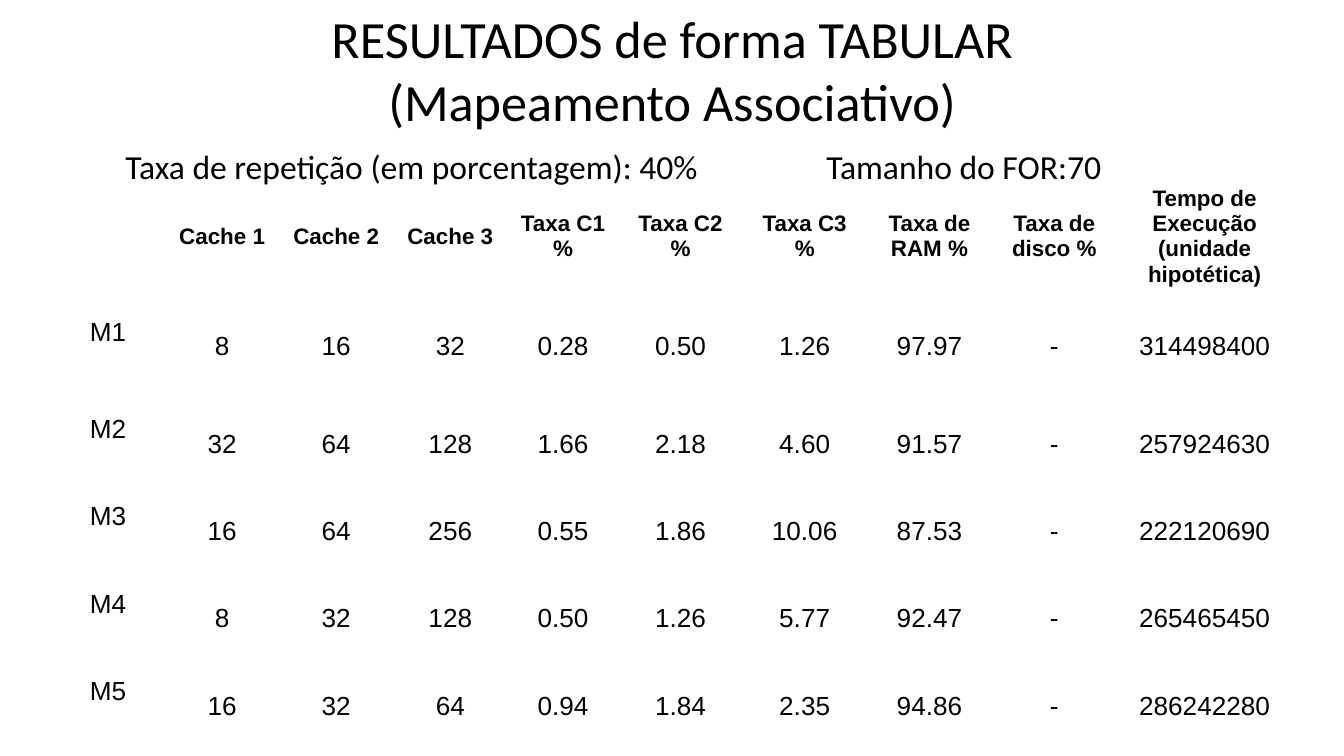
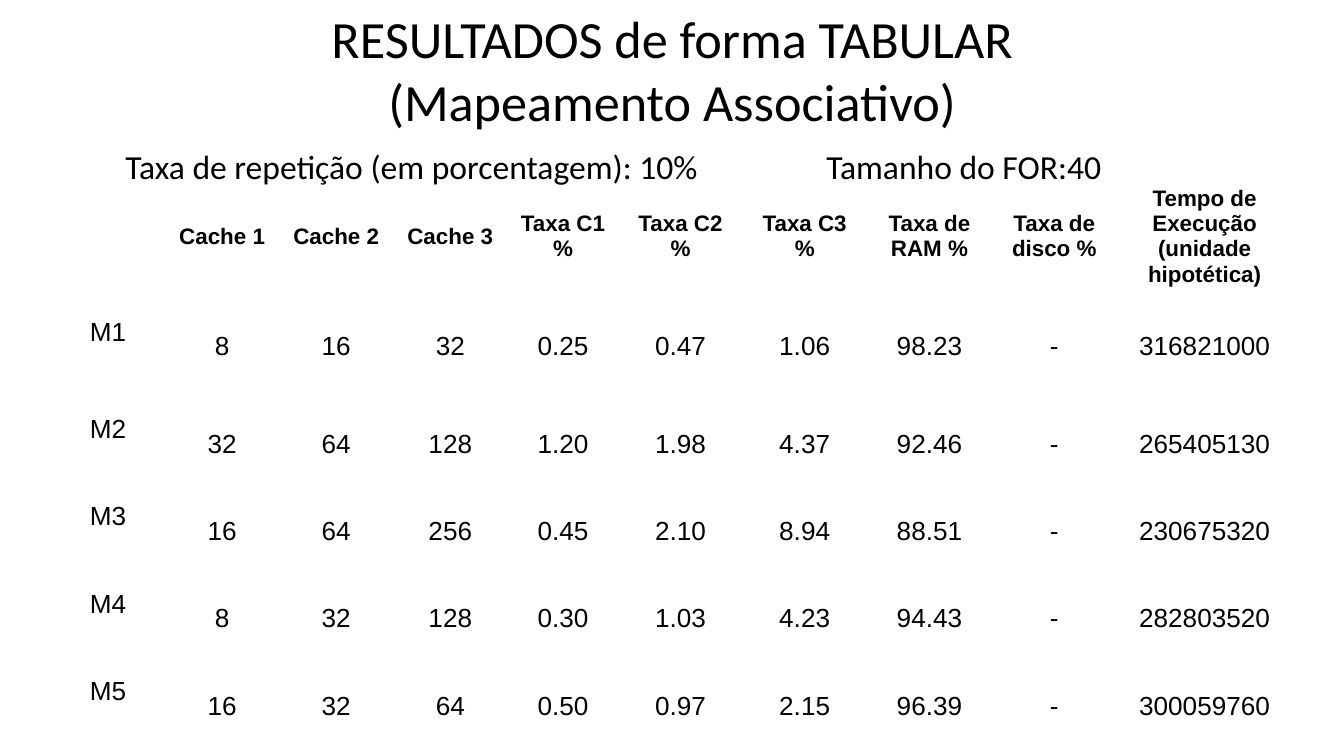
from lxml import etree
from pptx import Presentation
from pptx.dml.color import RGBColor as RGB
from pptx.enum.text import MSO_ANCHOR as ANCHOR, PP_ALIGN as ALIGN
from pptx.oxml.ns import qn
from pptx.util import Inches, Pt

COLORS = {"text": "000000", "page": "FFFFFF"}
HEAD_FONT, TABLE_FONT = "Calibri", "Arial"
PLAIN_TABLE = "{2D5ABB26-0587-4C30-8999-92F81FD0307C}"

# Grid of 0.1 inch squares; boxes are left, top, width, height
GRID_COLS, GRID_ROWS = 100, 56.25
TITLE_BOX = (10.2, 1.2, 79.6, 7.9)
PARAMS_BOX = (8.35, 10.35, 88.7, 3)
TABLE_BOX = (3.8, 13.4, 92.4, 41.3)
FOR_TAB = 52.15
HEADER_PAD, CELL_PAD, LABEL_LIFT = 0.2, 0.4, 2.2

# Shares of the table's width and height
COL_SHARES = [0.85] * 4 + [0.83, 0.92] + [0.93] * 3 + [1.31]
ROW_SHARES = [0.73, 0.8] + [0.65] * 4

TITLE = ["RESULTADOS de forma TABULAR", "(Mapeamento Associativo)"]
HEADERS = [[], ["Cache 1"], ["Cache 2"], ["Cache 3"],
           ["Taxa C1", "%"], ["Taxa C2", "%"], ["Taxa C3", "%"],
           ["Taxa de RAM %"], ["Taxa de disco %"],
           ["Tempo de Execução", "(unidade hipotética)"]]
CACHES = [("8", "16", "32"), ("32", "64", "128"), ("16", "64", "256"),
          ("8", "32", "128"), ("16", "32", "64")]

# Repetition rate, loop size, and per machine: C1, C2, C3, RAM, disk, time
RESULTS = [
    ("40%", "70", [
        ("0.28", "0.50", "1.26", "97.97", "-", "314498400"),
        ("1.66", "2.18", "4.60", "91.57", "-", "257924630"),
        ("0.55", "1.86", "10.06", "87.53", "-", "222120690"),
        ("0.50", "1.26", "5.77", "92.47", "-", "265465450"),
        ("0.94", "1.84", "2.35", "94.86", "-", "286242280")]),
    ("10%", "40", [
        ("0.25", "0.47", "1.06", "98.23", "-", "316821000"),
        ("1.20", "1.98", "4.37", "92.46", "-", "265405130"),
        ("0.45", "2.10", "8.94", "88.51", "-", "230675320"),
        ("0.30", "1.03", "4.23", "94.43", "-", "282803520"),
        ("0.50", "0.97", "2.15", "96.39", "-", "300059760")]),
]


def grid(n):
    return Inches(n / 10)


def add_run(p, text, size, font, bold=False):
    r = p.add_run()
    r.text = text
    r.font.size, r.font.name, r.font.bold = Pt(size), font, bold
    r.font.color.rgb = RGB.from_string(COLORS["text"])


def add_box(s, box, anchor):
    tf = s.shapes.add_textbox(*map(grid, box)).text_frame
    tf.word_wrap, tf.vertical_anchor = True, anchor
    return tf.paragraphs[0]


def add_title(s, box):
    p = add_box(s, box, ANCHOR.MIDDLE)
    p.alignment = ALIGN.CENTER
    for i, line in enumerate(TITLE):
        if i:
            p.add_line_break()
        add_run(p, line, 28, HEAD_FONT)


def add_params(s, box, rate, loop_size):
    p = add_box(s, box, ANCHOR.TOP)
    p.alignment = ALIGN.LEFT
    # Tab stop that lines up the loop size
    tabs = etree.SubElement(p._p.get_or_add_pPr(), qn("a:tabLst"))
    etree.SubElement(tabs, qn("a:tab"), pos=str(int(grid(FOR_TAB))), algn="l")
    add_run(p, f"Taxa de repetição (em porcentagem): {rate}\t", 18, HEAD_FONT)
    add_run(p, f"Tamanho do FOR:{loop_size}", 18, HEAD_FONT)


def fill_cell(cell, lines, size, bold, pad):
    cell.fill.background()
    cell.vertical_anchor = ANCHOR.MIDDLE
    cell.margin_top = cell.margin_bottom = grid(pad)
    tf = cell.text_frame
    for i, line in enumerate(lines):
        p = tf.add_paragraph() if i else tf.paragraphs[0]
        p.alignment = ALIGN.CENTER
        add_run(p, line, size, TABLE_FONT, bold)


def add_results(s, box, rates):
    rows = [HEADERS]
    for n, (caches, values) in enumerate(zip(CACHES, rates), 1):
        rows.append([[text] for text in (f"M{n}", *caches, *values)])
    table = s.shapes.add_table(len(rows), len(HEADERS), *map(grid, box)).table
    table.first_row = table.horz_banding = False
    # Style without borders or bands
    table._tbl.tblPr.find(qn("a:tableStyleId")).text = PLAIN_TABLE
    for col, share in zip(table.columns, COL_SHARES):
        col.width = grid(box[2] * share / sum(COL_SHARES))
    for row, share in zip(table.rows, ROW_SHARES):
        row.height = grid(box[3] * share / sum(ROW_SHARES))
    for i, row in enumerate(rows):
        size, bold, pad = (14, False, CELL_PAD) if i else (12, True, HEADER_PAD)
        for j, lines in enumerate(row):
            fill_cell(table.cell(i, j), lines, size, bold, pad)
        # Machine labels sit above the middle of their row
        if i:
            table.cell(i, 0).margin_bottom = grid(CELL_PAD + LABEL_LIFT)


def add_result_slide(prs, rate, loop_size, rates):
    s = prs.slides.add_slide(prs.slide_layouts[6])
    s.background.fill.solid()
    s.background.fill.fore_color.rgb = RGB.from_string(COLORS["page"])
    add_title(s, TITLE_BOX)
    add_params(s, PARAMS_BOX, rate, loop_size)
    add_results(s, TABLE_BOX, rates)


def main():
    prs = Presentation()
    prs.slide_width, prs.slide_height = grid(GRID_COLS), grid(GRID_ROWS)
    for result in RESULTS:
        add_result_slide(prs, *result)
    prs.save("out.pptx")


if __name__ == "__main__":
    main()
